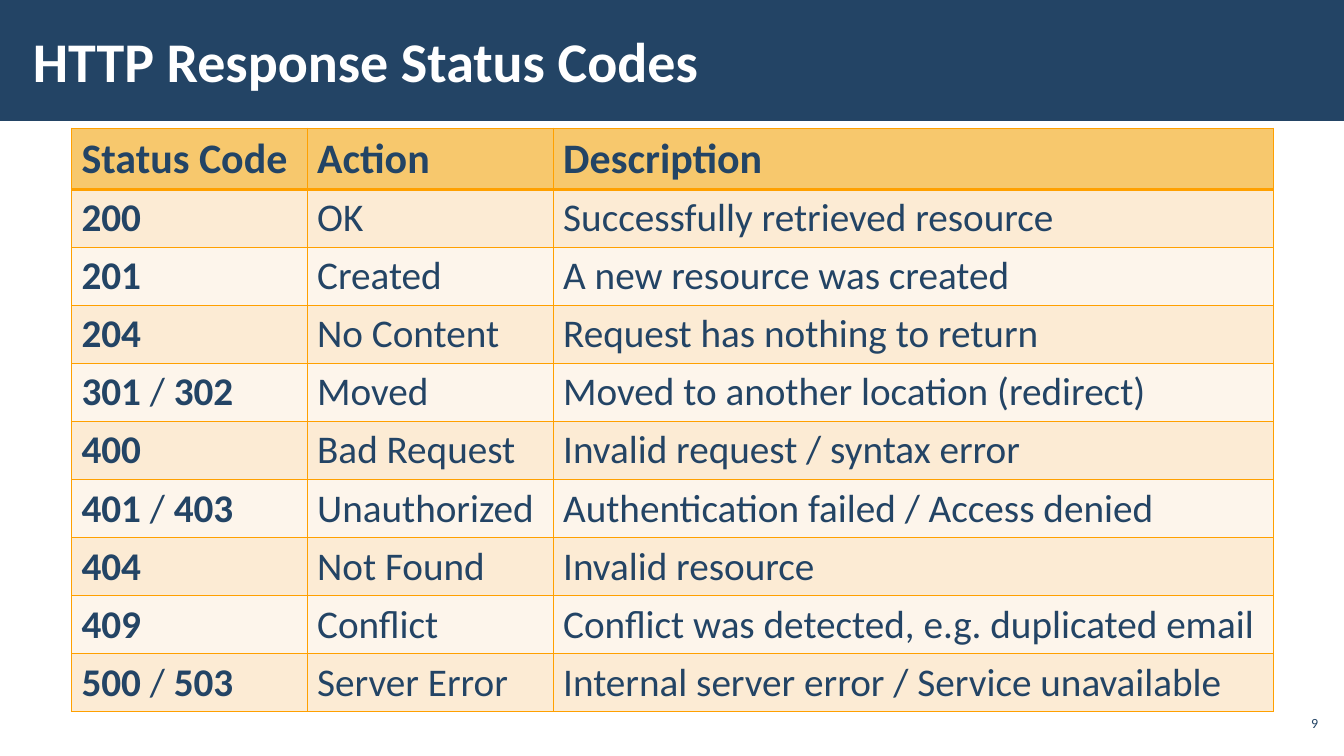
from lxml import etree
from pptx import Presentation
from pptx.dml.color import RGBColor
from pptx.enum.shapes import MSO_SHAPE
from pptx.enum.text import MSO_ANCHOR, PP_ALIGN
from pptx.oxml.ns import qn
from pptx.util import Cm, Pt

RECT = MSO_SHAPE.RECTANGLE
MIDDLE = MSO_ANCHOR.MIDDLE
LEFT, RIGHT = PP_ALIGN.LEFT, PP_ALIGN.RIGHT

FONT = "Calibri"
NAVY, WHITE, AMBER = "234465", "FFFFFF", "FFA000"
HEAD_FILL = "F7C86D"
BANDS = ("FCEBD4", "FDF5EB")
WIDTHS = (5.94, 6.2, 18.16)
HEAD_HEIGHT, ROW_HEIGHT = 1.54, 1.46
ROWS = (
    ("Status Code", "Action", "Description"),
    ("200", "OK", "Successfully retrieved resource"),
    ("201", "Created", "A new resource was created"),
    ("204", "No Content", "Request has nothing to return"),
    ("301 / 302", "Moved", "Moved to another location (redirect)"),
    ("400", "Bad Request", "Invalid request / syntax error"),
    ("401 / 403", "Unauthorized", "Authentication failed / Access denied"),
    ("404", "Not Found", "Invalid resource"),
    ("409", "Conflict", "Conflict was detected, e.g. duplicated email"),
    ("500 / 503", "Server Error", "Internal server error / Service unavailable"),
)


def color(value):
    return RGBColor.from_string(value)


def write(frame, text, size=28, fill=NAVY, bold=False, align=LEFT):
    """Fill a frame with one paragraph; a slash in bold text stays regular."""
    para = frame.paragraphs[0]
    para.alignment = align
    head, slash, tail = text.partition("/") if bold else (text, "", "")
    for part in filter(None, (head, slash, tail)):
        run = para.add_run()
        run.text = part
        font = run.font
        font.name, font.size = FONT, Pt(size)
        font.bold = bold and part != "/"
        font.color.rgb = color(fill)


def place(shape, left, top, width, height):
    shape.left, shape.top = Cm(left), Cm(top)
    shape.width, shape.height = Cm(width), Cm(height)


def inset(frame, side, edge):
    frame.margin_left = frame.margin_right = Cm(side)
    frame.margin_top = frame.margin_bottom = Cm(edge)
    frame.vertical_anchor = MIDDLE
    frame.word_wrap = True


def border(cell, **widths):
    """Draw cell sides, given in schema order before the fill."""
    props = cell._tc.get_or_add_tcPr()
    for spot, (side, width) in enumerate(widths.items()):
        line = etree.Element(qn(f"a:{side}"), w=str(Pt(width)))
        fill = etree.SubElement(line, qn("a:solidFill"))
        etree.SubElement(fill, qn("a:srgbClr"), val=AMBER)
        props.insert(spot, line)


def add_title(slide, text):
    title = slide.shapes.title
    band = slide.shapes.add_shape(RECT, 0, 0, Cm(33.87), Cm(3.05))
    band.shadow.inherit = False
    band.fill.solid()
    band.fill.fore_color.rgb = color(NAVY)
    band.line.fill.background()
    title._element.addprevious(band._element)
    place(title, 0.53, 0.28, 26.39, 2.46)
    inset(title.text_frame, 0.3, 0.1)
    write(title.text_frame, text, size=40, fill=WHITE, bold=True)


def add_number(slide, text):
    box = slide.shapes.add_textbox(Cm(32.13), Cm(17.78), Cm(1.19), Cm(0.86))
    inset(box.text_frame, 0.1, 0.1)
    write(box.text_frame, text, size=10, align=RIGHT)


def add_grid(slide):
    height = HEAD_HEIGHT + ROW_HEIGHT * (len(ROWS) - 1)
    table = slide.shapes.add_table(
        len(ROWS), len(WIDTHS), Cm(1.8), Cm(3.23), Cm(sum(WIDTHS)), Cm(height)
    ).table
    table.horz_banding = table.first_row = False
    for col, width in zip(table.columns, WIDTHS):
        col.width = Cm(width)
    for i, row in enumerate(ROWS):
        head = i == 0
        table.rows[i].height = Cm(HEAD_HEIGHT if head else ROW_HEIGHT)
        for j, text in enumerate(row):
            cell = table.cell(i, j)
            cell.fill.solid()
            cell.fill.fore_color.rgb = color(HEAD_FILL if head else BANDS[(i - 1) % 2])
            border(cell, lnL=1, lnR=1, lnT=3 if i == 1 else 1, lnB=3 if head else 1)
            write(cell.text_frame, text, size=30 if head else 28, bold=head or j == 0)


def main():
    deck = Presentation()
    deck.slide_width, deck.slide_height = Cm(33.87), Cm(19.05)
    slide = deck.slides.add_slide(deck.slide_layouts[5])
    add_title(slide, "HTTP Response Status Codes")
    add_grid(slide)
    add_number(slide, "9")
    deck.save("out.pptx")


if __name__ == "__main__":
    main()
